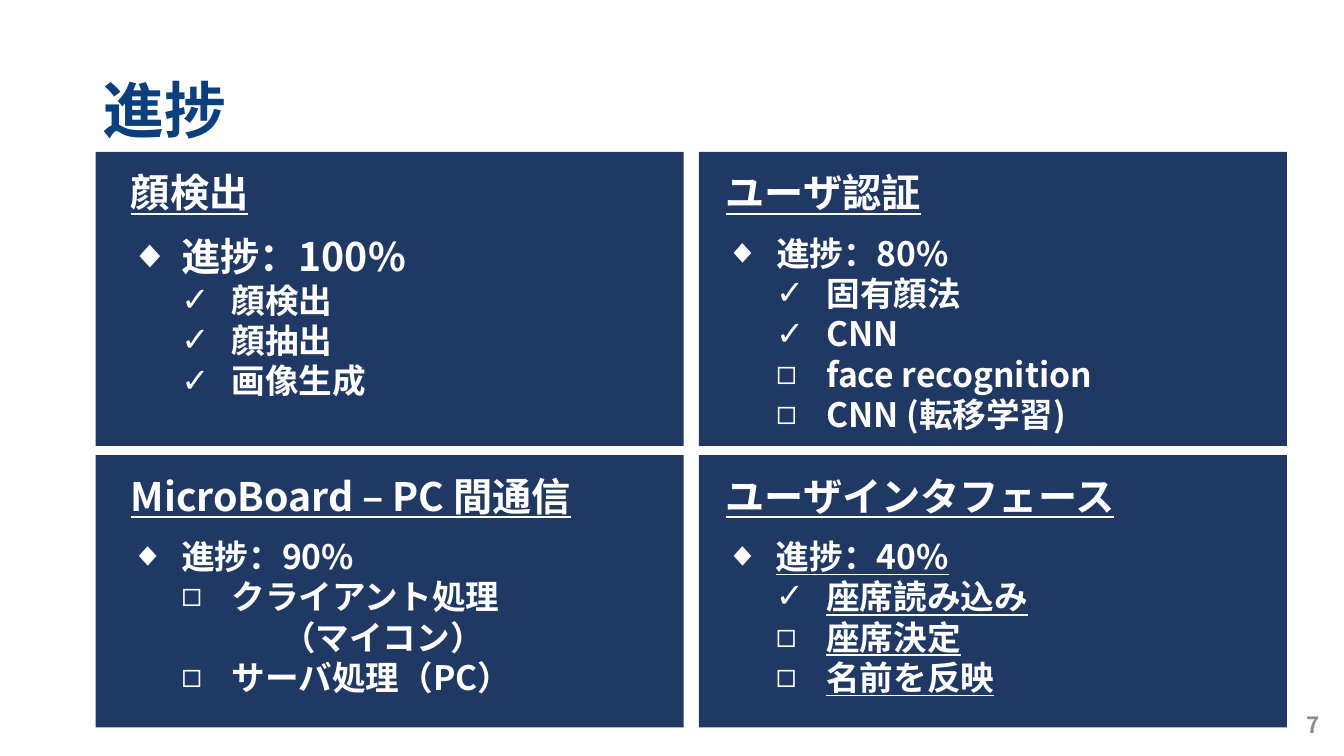
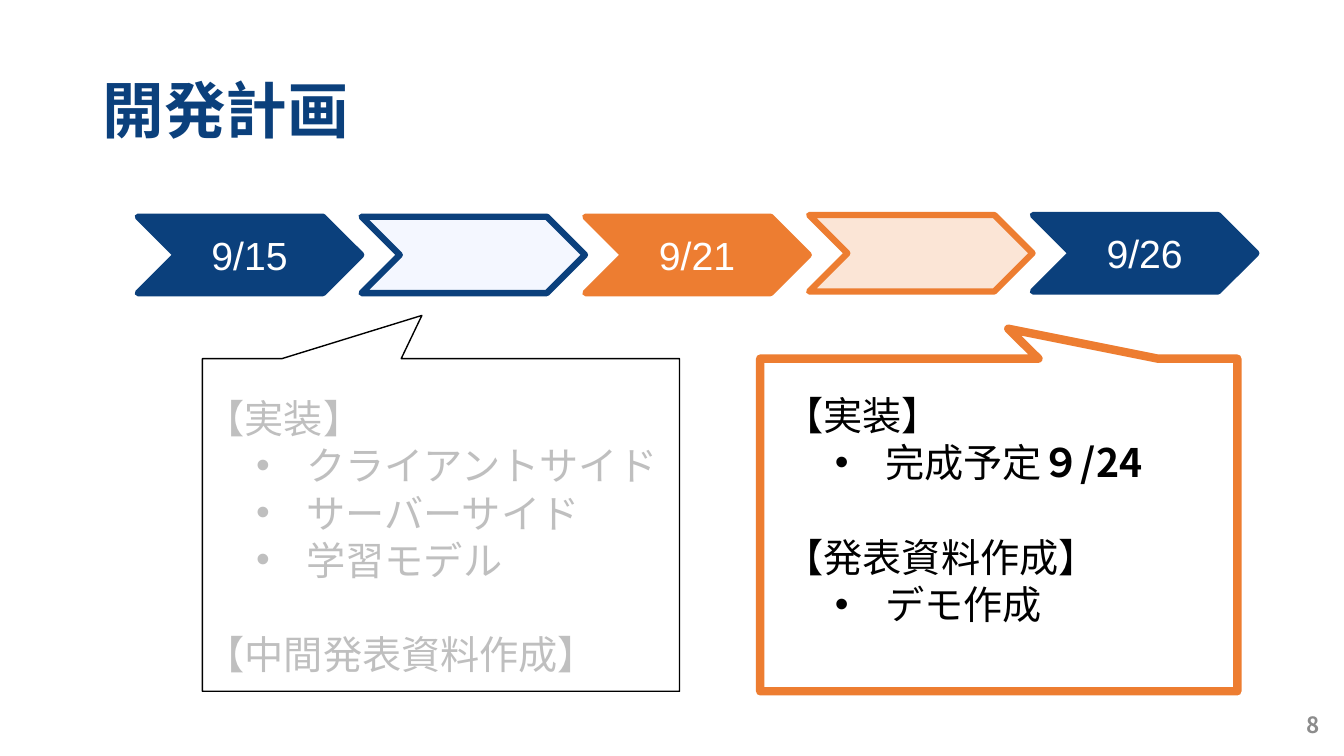
from dataclasses import dataclass

from lxml import etree
from pptx import Presentation
from pptx.dml.color import RGBColor
from pptx.enum.shapes import MSO_SHAPE
from pptx.enum.text import MSO_ANCHOR, PP_ALIGN
from pptx.oxml.ns import qn
from pptx.util import Inches, Pt

RECT = MSO_SHAPE.RECTANGLE
CHEVRON = MSO_SHAPE.CHEVRON
CALLOUT = MSO_SHAPE.RECTANGULAR_CALLOUT
TOP, MIDDLE = MSO_ANCHOR.TOP, MSO_ANCHOR.MIDDLE
LEFT, CENTER, RIGHT = PP_ALIGN.LEFT, PP_ALIGN.CENTER, PP_ALIGN.RIGHT

COLS, ROWS = 160, 90
TITLE_ONLY = 5
BODY_FONT, DATE_FONT = "Noto Sans CJK JP", "Arial"
DIAMOND, DONE, TODO, DOT = "◆", "✓", "◻", "•"
BLANK_LINE = 34

COLORS = {
    "navy": "0B407C",
    "panel": "203864",
    "pale": "F4F7FF",
    "orange": "ED7D31",
    "peach": "FBE5D6",
    "white": "FFFFFF",
    "black": "000000",
    "muted": "BFBFBF",
    "page": "8C8C8C",
}


def rgb(name):
    return RGBColor.from_string(COLORS[name])


@dataclass
class Line:
    """One paragraph; the mark is its bullet and bold_tail ends it in bold."""
    text: str
    mark: str = ""
    size: float = 28
    underline: bool = False
    before: float = 0
    after: float = 0
    bold_tail: str = ""


class Deck:
    """Holds the style and the current slide; lengths are grid columns and rows."""

    def __init__(self):
        self.prs = Presentation()
        self.prs.slide_width, self.prs.slide_height = Inches(13.33), Inches(7.5)
        self.slide = None

    def box(self, x, y, w, h):
        col, row = self.prs.slide_width / COLS, self.prs.slide_height / ROWS
        return int(x * col), int(y * row), int(w * col), int(h * row)

    def font(self, r, size, color, bold=False, underline=False, name=BODY_FONT):
        f = r.font
        f.size, f.bold, f.underline, f.name = Pt(size), bold, underline, name
        f.color.rgb = rgb(color)
        etree.SubElement(r._r.get_or_add_rPr(), qn("a:ea"), typeface=name)

    def label(self, sp, text, size, color, align=LEFT, **style):
        """Put one line of text, vertically centred, in a shape."""
        tf = sp.text_frame
        tf.text, tf.vertical_anchor, tf.word_wrap = text, MIDDLE, True
        p = tf.paragraphs[0]
        p.alignment = align
        self.font(p.runs[0], size, color, **style)
        return p

    def new_slide(self, title, number):
        layout = self.prs.slide_layouts[TITLE_ONLY]
        self.slide = self.prs.slides.add_slide(layout)
        sp = self.slide.shapes.title
        sp.left, sp.top, sp.width, sp.height = self.box(11, 4.8, 138, 17.4)
        self.label(sp, title, 44, "navy", bold=True).line_spacing = 0.9
        page = self.slide.shapes.add_textbox(*self.box(122.3, 83.9, 36, 4.8))
        self.label(page, str(number), 16, "page", RIGHT, bold=True)

    def shape(self, kind, box, fill=None, line=None, width=1):
        sp = self.slide.shapes.add_shape(kind, *self.box(*box))
        sp.shadow.inherit = False
        if fill:
            sp.fill.solid()
            sp.fill.fore_color.rgb = rgb(fill)
        else:
            sp.fill.background()
        if line:
            sp.line.color.rgb = rgb(line)
            sp.line.width = Pt(width)
        else:
            sp.line.fill.background()
        return sp

    def bullet(self, p, mark):
        level = 0 if mark == DIAMOND else 1
        p.level = level
        pPr = p._p.get_or_add_pPr()
        pPr.set("marL", str(Inches(0.5 * (level + 1))))
        pPr.set("indent", str(Inches(-0.5)))
        etree.SubElement(pPr, qn("a:buFont"), typeface=DATE_FONT)
        etree.SubElement(pPr, qn("a:buChar"), char=mark)

    def text(self, box, lines, color, bold=False):
        tf = self.slide.shapes.add_textbox(*self.box(*box)).text_frame
        tf.word_wrap, tf.vertical_anchor = True, TOP
        for i, line in enumerate(lines):
            p = tf.add_paragraph() if i else tf.paragraphs[0]
            p.text = line.text
            p.space_before, p.space_after = Pt(line.before), Pt(line.after)
            for r in p.runs:
                self.font(r, line.size, color, bold, line.underline)
            if line.bold_tail:
                r = p.add_run()
                r.text = line.bold_tail
                self.font(r, line.size, color, True)
            if line.mark:
                self.bullet(p, line.mark)

    def panel(self, col, row, size, heading, progress, tasks,
              progress_size=24, underline=False):
        """Draw a progress panel in the two by two arrangement."""
        x, y = 11.4 + 71.8 * col, (18.1, 54.2)[row]
        self.shape(RECT, (x, y, 70, (35, 32.4)[row]), "panel")
        lines = [Line(heading, underline=True, after=12),
                 Line(f"進捗：{progress}%", DIAMOND, progress_size, underline)]
        lines += [Line(task, mark, 24, underline) for mark, task in tasks]
        self.text((x + 3 - col, y + 1.4, *size), lines, "white", True)

    def chevron(self, index, y, fill, line, date=""):
        box = (16.4 + 26.64 * index, y, 26.6, 9.1)
        sp = self.shape(CHEVRON, box, fill, line, 4.5)
        if date:
            self.label(sp, date, 28, "white", CENTER, name=DATE_FONT)

    def callout(self, x, tip, line, width):
        sp = self.shape(CALLOUT, (x, 42.7, 56.8, 39.6), None, line, width)
        sp.adjustments[0], sp.adjustments[1] = tip


def progress_slide(deck):
    deck.new_slide("進捗", 7)
    deck.panel(0, 0, (37.6, 29), "顔検出", 100,
               [(DONE, "顔検出"), (DONE, "顔抽出"), (DONE, "画像生成")],
               progress_size=28)
    deck.panel(0, 1, (61.2, 28.3), "MicroBoard – PC 間通信", 90,
               [(TODO, "クライアント処理\v\t（マイコン）"), (TODO, "サーバ処理（PC）")])
    deck.panel(1, 0, (49, 34), "ユーザ認証", 80,
               [(DONE, "固有顔法"), (DONE, "CNN"),
                (TODO, "face recognition"), (TODO, "CNN (転移学習)")])
    deck.panel(1, 1, (49.6, 28.3), "ユーザインタフェース", 40,
               [(DONE, "座席読み込み"), (TODO, "座席決定"), (TODO, "名前を反映")],
               underline=True)


def plan_slide(deck):
    deck.new_slide("開発計画", 8)
    steps = [
        (25.8, "navy", "navy", "9/15"),
        (25.8, "pale", "navy"),
        (25.8, "orange", "orange", "9/21"),
        (25.6, "peach", "orange"),
        (25.6, "navy", "navy", "9/26"),
    ]
    for i, step in enumerate(steps):
        deck.chevron(i, *step)
    deck.text((23.3, 46.4, 57, 35.2), [
        Line("【実装】"),
        Line("クライアントサイド", DOT),
        Line("サーバーサイド", DOT),
        Line("学習モデル", DOT),
        Line("【中間発表資料作成】", before=BLANK_LINE),
    ], "muted")
    deck.text((92.2, 46, 47.3, 29.5), [
        Line("【実装】"),
        Line("完成予定", DOT, bold_tail="９/24"),
        Line("【発表資料作成】", before=BLANK_LINE),
        Line("デモ作成", DOT),
    ], "black")
    deck.callout(24.1, (-0.04, -0.63), "black", 1)
    deck.callout(90.5, (0.02, -0.59), "orange", 6)


def main():
    deck = Deck()
    progress_slide(deck)
    plan_slide(deck)
    deck.prs.save("out.pptx")


if __name__ == "__main__":
    main()
